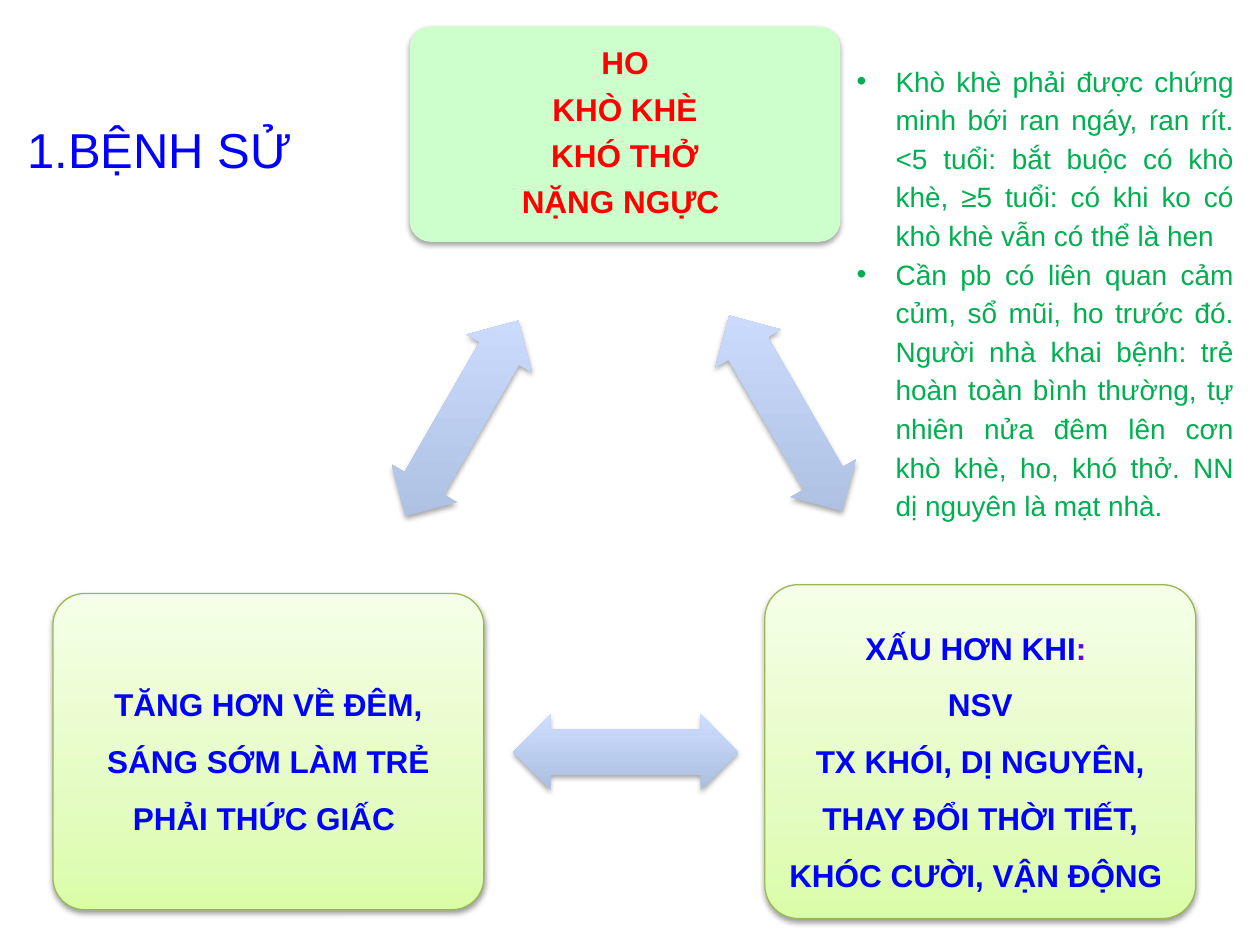
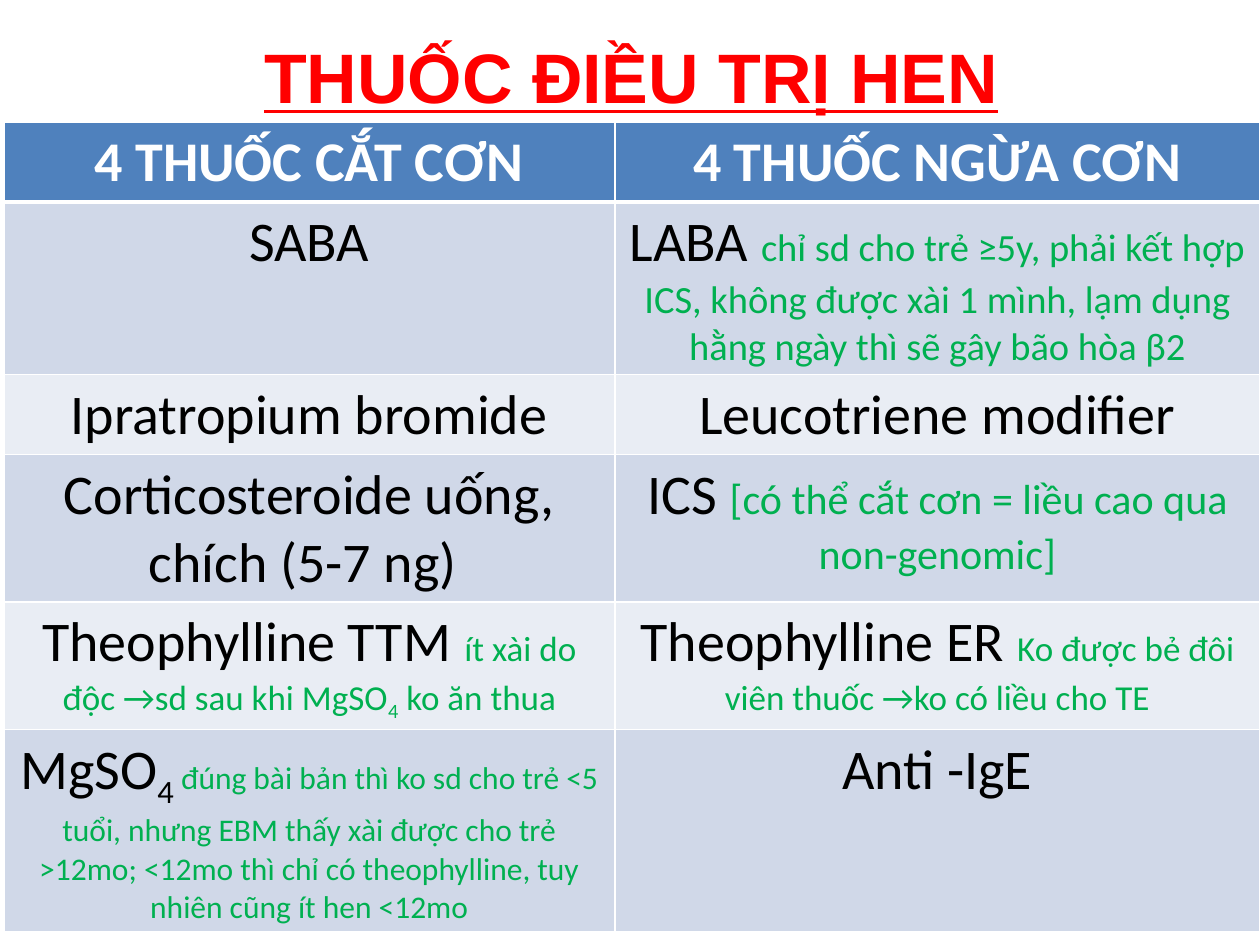
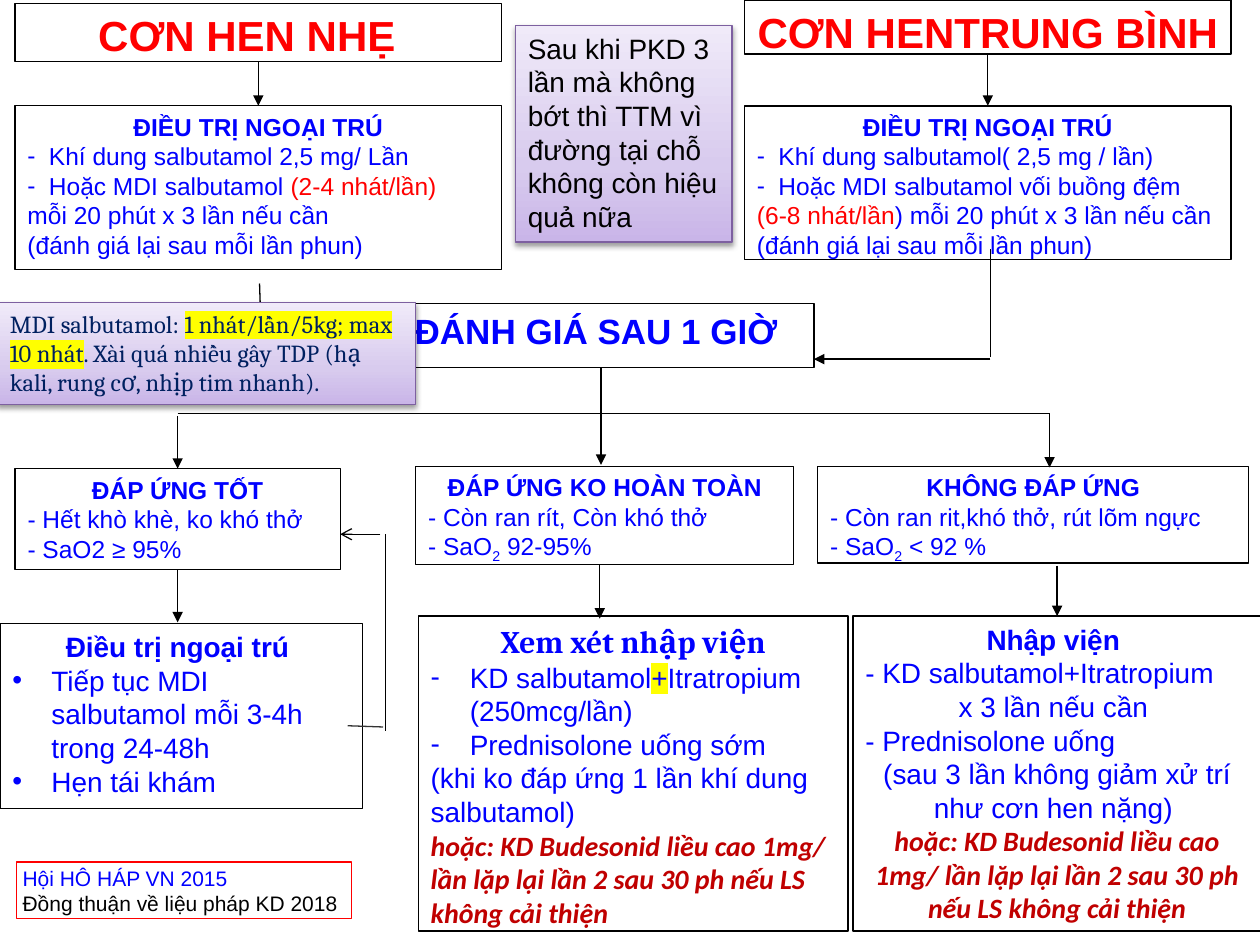
import pptx
import pptx.chart.data
import pptx.dml.color
import pptx.enum.shapes
import pptx.enum.text
import pptx.oxml
import pptx.oxml.ns
import pptx.util

RGB = pptx.dml.color.RGBColor
RED = RGB(255, 0, 0)
BLUE = RGB(0, 0, 255)
GREEN = RGB(0, 176, 80)
BLACK = RGB(0, 0, 0)
WHITE = RGB(255, 255, 255)
VIOLET = RGB(0x66, 0, 0xFF)
NAVY = RGB(0, 0x20, 0x60)
CRIMSON = RGB(0xC0, 0, 0)
GREY = RGB(0x33, 0x33, 0x33)
YELLOW = RGB(255, 255, 0)
MINT = RGB(0xCC, 255, 0xCC)
OLIVE = RGB(0x98, 0xB9, 0x55)
PURPLE = RGB(0x7D, 0x60, 0xA0)
HEADER = RGB(0x4F, 0x81, 0xBD)
BANDS = RGB(0xE9, 0xED, 0xF4), RGB(0xD0, 0xD8, 0xE8)
LIME = (0, RGB(0xDA, 0xFD, 0xA7)), (35, RGB(0xE4, 0xFC, 0xC2)), (100, RGB(0xF5, 255, 0xE7))
LILAC = (0, RGB(0xC9, 0xB5, 0xE8)), (35, RGB(0xD8, 0xCB, 0xEE)), (100, RGB(0xF0, 0xEA, 0xF9))
SKY = (0, RGB(0xAD, 0xBF, 0xE1)), (100, RGB(0xCC, 0xDD, 255))

SHAPE = pptx.enum.shapes.MSO_SHAPE
ALIGN = {"l": pptx.enum.text.PP_ALIGN.LEFT, "c": pptx.enum.text.PP_ALIGN.CENTER,
         "j": pptx.enum.text.PP_ALIGN.JUSTIFY}
SCALE = 9144


def px(size):
    return pptx.util.Emu(size * SCALE)


def tag(name, inner="", **attrs):
    pairs = "".join(f' {key}="{value}"' for key, value in attrs.items())
    space = pptx.oxml.ns.nsdecls("a")
    return pptx.oxml.parse_xml(f"<a:{name} {space}{pairs}>{inner}</a:{name}>")


def para(*runs, **form):
    return runs, form


def style(run, size=16, face="Arial", color=BLACK, bold=False, italic=False,
          under=False, mark=None, sub=False, **rest):
    font = run.font
    font.size = pptx.util.Pt(size)
    font.bold = bold
    font.italic = italic
    font.underline = under
    font.color.rgb = color
    font.name = face
    props = run._r.get_or_add_rPr()
    if mark:
        latin = props.find(pptx.oxml.ns.qn("a:latin"))
        latin.addprevious(tag("highlight", f'<a:srgbClr val="{mark}"/>'))
    if sub:
        props.set("baseline", "-25000")


def write(frame, paras, **base):
    for index, (runs, form) in enumerate(paras):
        form = {**base, **form}
        item = frame.add_paragraph() if index else frame.paragraphs[0]
        item.alignment = ALIGN[form.get("align", "l")]
        item.line_spacing = form.get("lines")
        if "after" in form:
            item.space_after = pptx.util.Pt(form["after"])
        props = item._p.get_or_add_pPr()
        left = form.get("left", 0)
        if left:
            props.set("marL", str(px(left)))
        if "bullet" in form:
            props.set("indent", str(px(-left)))
            props.append(tag("buFont", typeface="Arial"))
            props.append(tag("buChar", char=form["bullet"]))
        for part in runs:
            text, extra = (part, {}) if isinstance(part, str) else part
            run = item.add_run()
            run.text = text
            style(run, **{**form, **extra})


def setup(frame, pad=(10, 5, 10, 5), anchor="TOP", wrap=True):
    frame.word_wrap = wrap
    frame.vertical_anchor = pptx.enum.text.MSO_ANCHOR[anchor]
    frame.margin_left, frame.margin_top, frame.margin_right, frame.margin_bottom = map(px, pad)


def label(slide, box, paras, pad=(10, 5, 10, 5), wrap=True, **base):
    shape = slide.shapes.add_textbox(*map(px, box))
    setup(shape.text_frame, pad, wrap=wrap)
    write(shape.text_frame, paras, **base)


def panel(slide, box, paras=(), kind=SHAPE.RECTANGLE, fill=WHITE, line=BLACK, shade=0,
          pad=(10, 5, 10, 5), anchor="TOP", wrap=True, **base):
    shape = slide.shapes.add_shape(kind, *map(px, box))
    shape.shadow.inherit = False
    props = shape._element.spPr
    if fill is None:
        shape.fill.background()
    elif isinstance(fill, RGB):
        shape.fill.solid()
        shape.fill.fore_color.rgb = fill
    else:
        shape.fill.gradient()
        shape.fill.gradient_angle = 90
        grad = props.find(pptx.oxml.ns.qn("a:gradFill"))
        grad.set("rotWithShape", "0")
        stops = grad.find(pptx.oxml.ns.qn("a:gsLst"))
        for stop in list(stops):
            stops.remove(stop)
        for spot, color in fill:
            stops.append(tag("gs", f'<a:srgbClr val="{color}"/>', pos=spot * 1000))
    if line is None:
        shape.line.fill.background()
    else:
        shape.line.color.rgb = line
        shape.line.width = pptx.util.Pt(0.75)
    if shade:
        color = f'<a:srgbClr val="000000"><a:alpha val="{shade * 1000}"/></a:srgbClr>'
        props.find(pptx.oxml.ns.qn("a:effectLst")).append(
            tag("outerShdw", color, blurRad=40000, dist=22000, dir=5400000, rotWithShape=0))
    setup(shape.text_frame, pad, anchor, wrap)
    write(shape.text_frame, paras, **base)
    return shape


def link(slide, start, end, tip=None, color=BLACK, head=None, tail=None):
    line = slide.shapes.add_connector(
        pptx.enum.shapes.MSO_CONNECTOR.STRAIGHT, *map(px, start + end))
    line.line.color.rgb = color
    line.line.width = pptx.util.Pt(0.75)
    if tip:
        line.line._get_or_add_ln().append(tag("tailEnd", type=tip))
    line._element.spPr.append(tag("effectLst"))
    if head:
        line.begin_connect(head, 2)
    if tail:
        line.end_connect(tail, 0)


def cycle(slide, box):
    x, y, wide, high = box
    card = dict(kind=SHAPE.ROUNDED_RECTANGLE, pad=(7, 7, 7, 7), anchor="MIDDLE",
                size=18, bold=True, align="c")
    signs = "HO", "KHÒ KHÈ", "KHÓ THỞ", "NẶNG NGỰC "
    night = [para("TĂNG HƠN VỀ ĐÊM, SÁNG SỚM LÀM TRẺ PHẢI THỨC GIẤC ")]
    worse = [para("XẤU HƠN KHI", (": ", dict(color=VIOLET))), para("NSV"),
             para("TX KHÓI, DỊ NGUYÊN, THAY ĐỔI THỜI TIẾT, KHÓC CƯỜI, VẬN ĐỘNG ")]
    cards = [
        panel(slide, (x + 283, y, 342, 171), [para(sign) for sign in signs],
              fill=MINT, line=None, shade=35, color=RED, lines=0.9, after=7, **card),
        panel(slide, (x + 565, y + 443, 342, 265), worse,
              fill=LIME, line=OLIVE, shade=38, color=BLUE, lines=1.5, **card),
        panel(slide, (x, y + 450, 342, 251), night,
              fill=LIME, line=OLIVE, shade=38, color=BLUE, lines=1.5, after=6, **card)]
    for item in cards:
        item.adjustments[0] = 0.1
    for left, top, turn in ((492, 277, 60), (365, 546, 0), (235, 281, 300)):
        arrow = panel(slide, (x + left, y + top, 179, 60), kind=SHAPE.LEFT_RIGHT_ARROW,
                      fill=SKY, line=None, shade=35)
        arrow.adjustments[0] = 0.6
        arrow.rotation = turn


def history(deck):
    slide = deck.slides.add_slide(deck.slide_layouts[6])
    cycle(slide, (42, 21, 907, 708))
    label(slide, (12, 90, 232, 57), [para("1.BỆNH SỬ")], wrap=False, size=28, color=BLUE)
    notes = (
        "Khò khè phải được chứng minh bới ran ngáy, ran rít. <5 tuổi: bắt buộc có khò khè, "
        "≥5 tuổi: có khi ko có khò khè vẫn có thể là hen",
        "Cần pb có liên quan cảm củm, sổ mũi, ho trước đó. Người nhà khai bệnh: trẻ hoàn toàn "
        "bình thường, tự nhiên nửa đêm lên cơn khò khè, ho, khó thở. NN dị nguyên là mạt nhà.")
    label(slide, (670, 42, 319, 379), [para(note) for note in notes],
          color=GREEN, align="j", lines=1.15, left=31, bullet="•")


def note(text, size, **form):
    return text, dict(size=size, color=GREEN, **form)


def grid(slide, box):
    rows = [
        ([para("4 THUỐC CẮT CƠN")], [para("4 THUỐC NGỪA CƠN")]),
        ([para("SABA")],
         [para("LABA ", note("chỉ sd cho trẻ ≥5y, phải kết hợp ICS, không được xài 1 mình, "
                             "lạm dụng hằng ngày thì sẽ gây bão hòa β2", 22))]),
        ([para("Ipratropium bromide")], [para("Leucotriene modifier")]),
        ([para("Corticosteroide uống,"), para("chích (5-7 ng) ")],
         [para("ICS ", note("[có thể cắt cơn = liều cao qua non-genomic]", 24))]),
        ([para("Theophylline TTM ", note("ít xài do độc →sd sau khi MgSO", 20),
               note("4", 20, sub=True), note(" ko ăn thua", 20))],
         [para("Theophylline ER ", note("Ko được bẻ đôi viên thuốc →ko có liều cho TE", 20))]),
        ([para("MgSO", ("4 ", dict(sub=True)),
               note("đúng bài bản thì ko sd cho trẻ <5 tuổi, nhưng EBM thấy xài được cho trẻ "
                    ">12mo; <12mo thì chỉ có theophylline, tuy nhiên cũng ít hen <12mo", 18))],
         [para("Anti -IgE")])]
    table = slide.shapes.add_table(len(rows), 2, *map(px, box)).table
    for column, width in zip(table.columns, (485, 512)):
        column.width = px(width)
    for row, height in zip(table.rows, (62, 137, 63, 117, 101, 150)):
        row.height = px(height)
    for r, row in enumerate(rows):
        for c, paras in enumerate(row):
            cell = table.cell(r, c)
            cell.fill.solid()
            cell.fill.fore_color.rgb = BANDS[r % 2] if r else HEADER
            props = cell._tc.get_or_add_tcPr()
            for spot, side in enumerate("LRTB"):
                thick = 3 if (r, side) in ((0, "B"), (1, "T")) else 1
                fill = f'<a:solidFill><a:srgbClr val="{WHITE}"/></a:solidFill>'
                props.insert(spot, tag("ln" + side, fill, w=thick * 12700))
            write(cell.text_frame, paras, size=32, face="Calibri", align="c",
                  color=BLACK if r else WHITE, bold=r == 0)


def drugs(deck):
    slide = deck.slides.add_slide(deck.slide_layouts[6])
    label(slide, (72, 17, 858, 77), [para("THUỐC ĐIỀU TRỊ HEN")], pad=(10, 10, 10, 5),
          size=40, color=RED, bold=True, under=True, align="c")
    grid(slide, (3, 97, 997, 630))


def case(slide, box, title, dose, top, deep, gap=0):
    x, y, wide, high = box
    head = panel(slide, (x, y + top, wide, deep), [para(title)], pad=(10, 5, 10 + gap, 5),
                 size=24, color=RED, bold=True, align="c")
    care = panel(slide, (x, y + 84, wide, high - 84),
                 [para("ĐIỀU TRỊ NGOẠI TRÚ", bold=True, align="c")] + dose,
                 size=14, color=BLUE)
    link(slide, (x + 193, y + top + deep), (x + 193, y + 84), "triangle", head=head, tail=care)


def branch(slide, box, title, signs, plan, place):
    x, y, wide, high = box
    left, top, across, deep = place
    test = panel(slide, box, [para(title, bold=True, align="c")] + signs, size=14, color=BLUE)
    care = panel(slide, (x + left, y + top, across, deep), plan, color=BLUE)
    return test, care


def flow(slide, box):
    x, y, wide, high = box

    def at(left, top):
        return x + left, y + top

    dash = dict(left=17, bullet="-")
    item = dict(left=31, bullet="-")
    dot = dict(left=31, bullet="•")
    bold = dict(bold=True, align="c")
    warn = dict(face="Calibri", color=CRIMSON, bold=True, italic=True)
    other = ("hoặc: KD Budesonid liều cao 1mg/ lần lặp lại lần 2 sau 30 ph "
             "nếu LS không cải thiện")
    low = "2", dict(sub=True)
    rate = panel(slide, (*at(308, 241), 338, 51), [para("ĐÁNH GIÁ SAU 1 GIỜ ")],
                 size=20, color=BLUE, **bold)
    good, home = branch(
        slide, (*at(12, 372), 258, 80), "ĐÁP ỨNG TỐT",
        [para("- Hết khò khè, ko khó thở"), para("- SaO2 ≥ 95%")],
        [para("Điều trị ngoại trú ", **bold),
         para("Tiếp tục MDI salbutamol mỗi 3-4h trong 24-48h", **dot),
         para("Hẹn tái khám", **dot)], (-12, 123, 288, 147))
    branch(
        slide, (*at(330, 370), 300, 78), "ĐÁP ỨNG KO HOÀN TOÀN",
        [para("- Còn ran rít, Còn khó thở"), para("- SaO", low, " 92-95%")],
        [para("Xem xét nhập viện", size=18, face="Cambria", **bold),
         para("KD salbutamol", ("+", dict(mark=YELLOW)), "Itratropium (250mcg/lần)", **item),
         para("Prednisolone uống sớm", **item),
         para("(khi ko đáp ứng 1 lần khí dung salbutamol)"),
         para(other, **warn)], (2, 119, 341, 250))
    none, ward = branch(
        slide, (*at(649, 370), 342, 77), "KHÔNG ĐÁP ỨNG",
        [para("- Còn ran rit,khó thở, rút lõm ngực"), para("- SaO", low, " < 92 %")],
        [para("Nhập viện ", **bold), para("- KD salbutamol+Itratropium"),
         para("x 3 lần nếu cần", left=74), para("- Prednisolone uống"),
         para("(sau 3 lần không giảm xử trí như cơn hen nặng) ", align="c"),
         para(other, align="c", **warn)], (28, 119, 324, 250))
    case(slide, (*at(12, 0), 386, 214), "CƠN HEN NHẸ",
         [para("Khí dung salbutamol 2,5 mg/ Lần", **dash),
          para("Hoặc MDI salbutamol ", ("(2-4 nhát/lần)", dict(color=RED)), **dash),
          para("mỗi 20 phút x 3 lần nếu cần "),
          para("(đánh giá lại sau mỗi lần phun) ")], 3, 46, 18)
    case(slide, (*at(591, 0), 386, 206), "CƠN HENTRUNG BÌNH ",
         [para("Khí dung salbutamol( 2,5 mg / lần)", **dash),
          para("Hoặc MDI salbutamol vối buồng đệm", **dash),
          para(("(6-8 nhát/lần", dict(color=RED)), ") mỗi 20 phút x 3 lần nếu cần"),
          para("(đánh giá lại sau mỗi lần phun)")], 0, 43)
    link(slide, at(477, 292), at(477, 369), "triangle", head=rate)
    link(slide, at(141, 330), at(141, 372), "triangle", tail=good)
    link(slide, at(141, 452), at(141, 494), "triangle", head=good)
    link(slide, at(839, 449), at(839, 489), "triangle", tail=ward)
    for start, end, tip in (
            ((476, 448), (476, 491), "triangle"), ((833, 328), (833, 371), "triangle"),
            ((209, 285), (306, 285), "triangle"), ((786, 285), (646, 285), "triangle"),
            ((302, 424), (270, 424), "arrow"), ((206, 225), (208, 286), None),
            ((786, 198), (786, 283), None), ((141, 328), (833, 328), None),
            ((306, 424), (306, 580), None)):
        link(slide, at(*start), at(*end), tip)
    link(slide, at(276, 576), at(304, 577), color=GREY)


def notes(slide, box):
    x, y, wide, high = box
    panel(slide, (x + 13, y + 684, 266, 45),
          [para("Hội HÔ HÁP VN 2015", color=BLUE), para("Đồng thuận về liệu pháp KD 2018")],
          fill=None, line=RED, pad=(5, 3, 5, 3), wrap=False, size=12)
    tint = dict(fill=LILAC, line=PURPLE, shade=38)
    panel(slide, (x - 2, y + 240, 332, 81),
          [para("MDI salbutamol: ", ("1 nhát/lần/5kg; max 10 nhát", dict(mark=YELLOW)),
                ". Xài quá nhiều gây TDP (hạ kali, rung cơ, nhịp tim nhanh).")],
          size=14, face="Cambria", color=NAVY, **tint)
    panel(slide, (x + 409, y + 20, 172, 172),
          [para("Sau khi PKD 3 lần mà không bớt thì TTM vì đường tại chỗ "
                "không còn hiệu quả nữa")], **tint)


def attack(deck):
    slide = deck.slides.add_slide(deck.slide_layouts[6])
    page = 0, 0, 1000, 750
    flow(slide, page)
    notes(slide, page)


def main():
    deck = pptx.Presentation()
    deck.slide_width, deck.slide_height = px(1000), px(750)
    history(deck)
    drugs(deck)
    attack(deck)
    deck.save("out.pptx")


if __name__ == "__main__":
    main()
